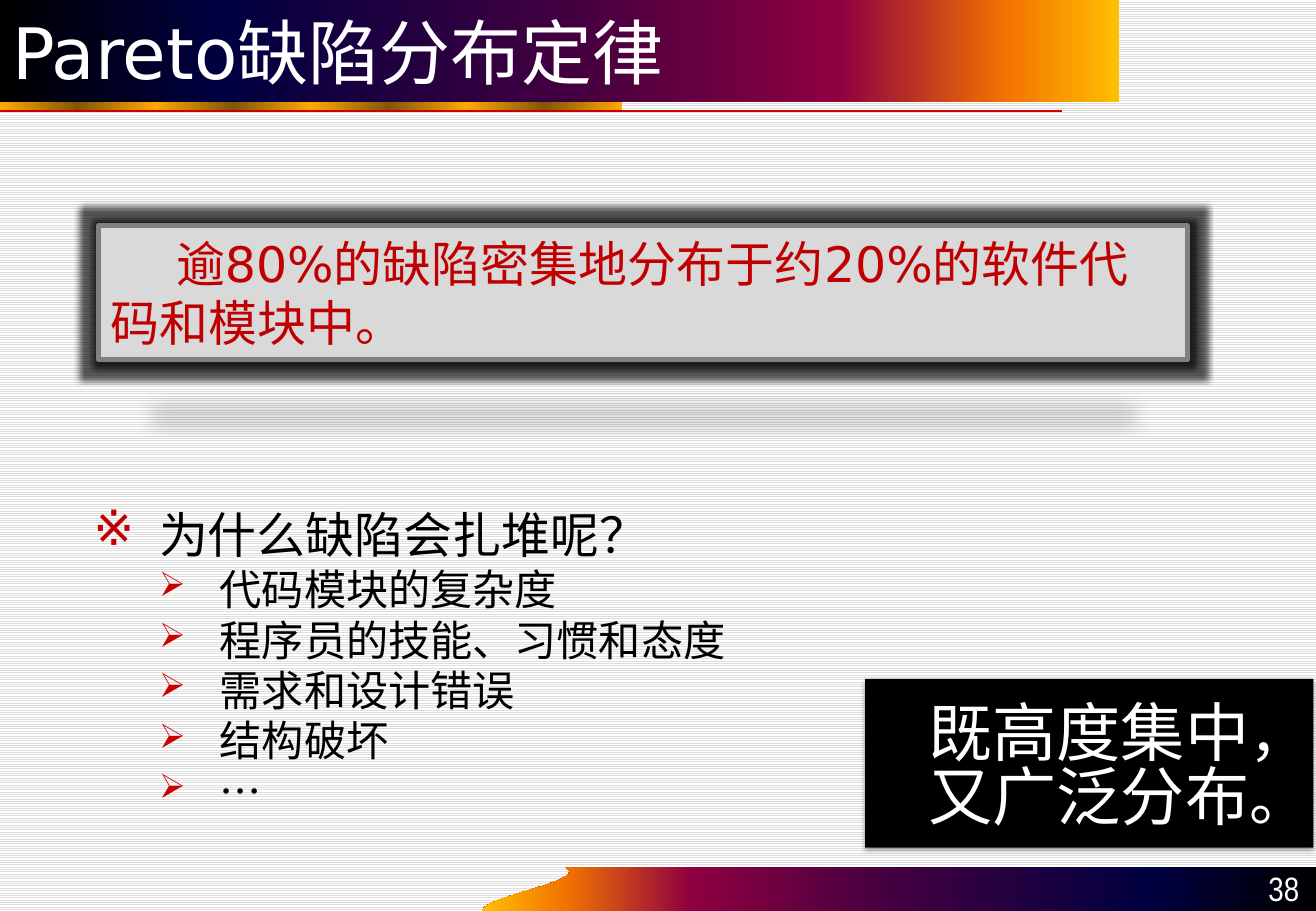
from dataclasses import dataclass

import lxml.etree
import pptx
import pptx.dml.color
import pptx.enum.dml
import pptx.enum.shapes
import pptx.enum.text
import pptx.oxml
import pptx.oxml.ns
import pptx.util

RGBColor = pptx.dml.color.RGBColor
Align = pptx.enum.text.PP_ALIGN
Anchor = pptx.enum.text.MSO_ANCHOR

BLACK = RGBColor(0x00, 0x00, 0x00)
WHITE = RGBColor(0xFF, 0xFF, 0xFF)
STRIPE = RGBColor(0xDD, 0xDD, 0xDD)
NAVY = RGBColor(0x00, 0x00, 0x40)
PLUM = RGBColor(0x40, 0x00, 0x40)
WINE = RGBColor(0x8F, 0x00, 0x40)
ORANGE = RGBColor(0xF2, 0x73, 0x00)
YELLOW = RGBColor(0xFF, 0xBF, 0x00)
BROWN = RGBColor(0x82, 0x56, 0x00)
GOLD = RGBColor(0xFF, 0xA8, 0x00)
RED = RGBColor(0xCC, 0x00, 0x00)
DARK_RED = RGBColor(0xC0, 0x00, 0x00)
PANEL = RGBColor(0xD9, 0xD9, 0xD9)
FRAME_GREY = RGBColor(0x80, 0x80, 0x80)

SUNSET = [(0, BLACK), (20, NAVY), (50, PLUM), (75, WINE), (90, ORANGE), (100, YELLOW)]
GOLD_WAVES = [(step * 12.5, BROWN if step % 2 else GOLD) for step in range(9)]
SANS, CHINESE, JAPANESE, NARROW = (
    "DejaVu Sans", "Noto Sans CJK SC", "Noto Sans CJK JP", "Arial Narrow")
TIGHT = 0.83  # line spacing for the tall CJK fonts

deck = pptx.Presentation()
deck.slide_width = pptx.util.Inches(10.83)
deck.slide_height = pptx.util.Inches(7.5)
page = deck.slides.add_slide(deck.slide_layouts[5])


def across(percent: float) -> int:
    return round(deck.slide_width * percent / 100)


def down(percent: float) -> int:
    return round(deck.slide_height * percent / 100)


@dataclass
class Area:
    """A rectangle in percent of the slide's width and height."""
    left: float
    top: float
    width: float
    height: float

    def lengths(self) -> tuple[int, int, int, int]:
        return across(self.left), down(self.top), across(self.width), down(self.height)


@dataclass
class Style:
    size: float
    font: str
    color: RGBColor


@dataclass
class Bullet:
    text: str
    style: Style
    sign: str
    sign_color: RGBColor
    sign_percent: int
    indent: float
    hanging: float
    space_before: float


def add_xml(parent, markup: str) -> None:
    declared = markup.replace(">", f" {pptx.oxml.ns.nsdecls('a')}>", 1)
    parent.append(pptx.oxml.parse_xml(declared))


def fill_gradient(shape, stops: list[tuple[float, RGBColor]], angle: int = 0) -> None:
    shape.fill.gradient()
    shape.fill.gradient_angle = angle
    stop_list = shape.fill._fill._gradFill.find(pptx.oxml.ns.qn("a:gsLst"))
    for stop in list(stop_list):
        stop_list.remove(stop)
    for position, color in stops:
        add_xml(stop_list, f'<a:gs pos="{round(position * 1000)}">'
                           f'<a:srgbClr val="{color}"/></a:gs>')


def add_effects(shape, effects: str) -> None:
    shape.shadow.inherit = True
    add_xml(shape._element.spPr, f"<a:effectLst>{effects}</a:effectLst>")


def shadow(alpha: int, blur: float, distance: float, scale: str = "") -> str:
    return (f'<a:outerShdw blurRad="{pptx.util.Pt(blur)}" dist="{pptx.util.Pt(distance)}" '
            f'dir="5400000" {scale} rotWithShape="0"><a:srgbClr val="000000">'
            f'<a:alpha val="{alpha * 1000}"/></a:srgbClr></a:outerShdw>')


def format_span(span, style: Style) -> None:
    span.font.size = pptx.util.Pt(style.size)
    span.font.name = style.font
    span.font.color.rgb = style.color
    add_xml(span._r.get_or_add_rPr(), f'<a:ea typeface="{style.font}"></a:ea>')


def write(para, text: str, style: Style, align=Align.LEFT) -> None:
    para.text = text
    para.alignment = align
    for span in para.runs:
        format_span(span, style)


def add_panel(area: Area, color: RGBColor):
    box = page.shapes.add_shape(pptx.enum.shapes.MSO_SHAPE.RECTANGLE, *area.lengths())
    box.shadow.inherit = False
    box.fill.solid()
    box.fill.fore_color.rgb = color
    box.line.fill.background()
    box.text_frame.word_wrap = True
    box.text_frame.vertical_anchor = Anchor.MIDDLE
    return box


def add_text_box(area: Area):
    box = page.shapes.add_textbox(*area.lengths())
    box.text_frame.word_wrap = True
    return box


def add_bullet(para, item: Bullet) -> None:
    properties = para._p.get_or_add_pPr()
    properties.set("marL", str(pptx.util.Inches(item.indent)))
    properties.set("indent", str(-pptx.util.Inches(item.hanging)))
    add_xml(properties, f'<a:buClr><a:srgbClr val="{item.sign_color}"/></a:buClr>')
    add_xml(properties, f'<a:buSzPct val="{item.sign_percent * 1000}"></a:buSzPct>')
    add_xml(properties, f'<a:buChar char="{item.sign}"></a:buChar>')
    para.line_spacing = TIGHT
    para.space_before = pptx.util.Pt(item.space_before)
    write(para, item.text, item.style)


# Striped background
background = page.background.fill
background.patterned()
background.pattern = pptx.enum.dml.MSO_PATTERN.LIGHT_HORIZONTAL
background.fore_color.rgb = STRIPE
background.back_color.rgb = WHITE

# Title bar
title = page.shapes.title
title.left, title.top, title.width, title.height = Area(0, 0, 85.04, 11.2).lengths()
fill_gradient(title, SUNSET)
title.text_frame.vertical_anchor = Anchor.MIDDLE
write(title.text_frame.paragraphs[0], "Pareto缺陷分布定律", Style(42, SANS, WHITE))

# Gold strip and red rule under the title
fill_gradient(add_panel(Area(0, 11.2, 47.28, 1.07), GOLD), GOLD_WAVES)
rule = page.shapes.add_connector(
    pptx.enum.shapes.MSO_CONNECTOR.STRAIGHT, 0, down(12.2), across(80.7), down(12.2))
rule.line.color.rgb = RED
rule.line.width = pptx.util.Pt(1)
add_xml(rule._element.spPr, "<a:effectLst></a:effectLst>")

# Footer band with a curved left end
curve = [(36.66, 100), (36.66, 98.4), (44.97, 96.67), (42.94, 95.2)]
band_points = [(100, 95.2), (100, 100)]
for step in range(25):
    t = step / 24
    weights = ((1 - t) ** 3, 3 * t * (1 - t) ** 2, 3 * t ** 2 * (1 - t), t ** 3)
    band_points.append(tuple(
        sum(weight * point[axis] for weight, point in zip(weights, curve)) for axis in (0, 1)))
corners = [(across(x), down(y)) for x, y in band_points]
builder = page.shapes.build_freeform(*corners[0])
builder.add_line_segments(corners[1:], close=True)
footer = builder.convert_to_shape()
footer.shadow.inherit = False
footer.line.fill.background()
fill_gradient(footer, SUNSET, 180)

# Page number
number = add_text_box(Area(90.77, 95.07, 8.86, 4.93)).text_frame
number.vertical_anchor = Anchor.BOTTOM
number.margin_bottom = pptx.util.Inches(0.02)
write(number.paragraphs[0], "38", Style(20, NARROW, WHITE), Align.RIGHT)

# Statement of the law
law = add_panel(Area(7.48, 24.8, 82.73, 14.67), PANEL)
law.line.color.rgb = FRAME_GREY
law.line.width = pptx.util.Pt(3)
add_effects(law, f'<a:glow rad="{pptx.util.Pt(7)}"><a:srgbClr val="000000">'
                 '<a:alpha val="65000"/></a:srgbClr></a:glow>'
            + shadow(15, 12, 25, 'sx="90000" sy="-19000"'))
law_para = law.text_frame.paragraphs[0]
write(law_para, "逾80%的缺陷密集地分布于约20%的软件代码和模块中。", Style(29, SANS, DARK_RED))
law_para._p.get_or_add_pPr().set("indent", str(pptx.util.Inches(0.54)))

# Question and its causes
question = Bullet("为什么缺陷会扎堆呢？", Style(29, CHINESE, BLACK), "※", DARK_RED, 100, 0.54, 0.54, 0)
causes = [
    Bullet(text, Style(25, CHINESE, BLACK), "➢", RED, 80, 1.04, 0.5, 5)
    for text in ("代码模块的复杂度", "程序员的技能、习惯和态度", "需求和设计错误", "结构破坏", "…")
]
body = add_text_box(Area(6.19, 55.87, 56.42, 40.27)).text_frame
for index, item in enumerate([question, *causes]):
    add_bullet(body.add_paragraph() if index else body.paragraphs[0], item)

# Conclusion
conclusion = add_panel(Area(65.74, 74.53, 34.07, 18.53), BLACK)
add_effects(conclusion, shadow(35, 3.1, 1.8))
frame = conclusion.text_frame
frame.margin_left = frame.margin_right = pptx.util.Inches(0.04)
frame.margin_top, frame.margin_bottom = pptx.util.Inches(0.12), pptx.util.Inches(0.02)
for index, (phrase, mark) in enumerate([("既高度集中", "，"), ("又广泛分布", "。")]):
    para = frame.add_paragraph() if index else frame.paragraphs[0]
    para.line_spacing = TIGHT
    write(para, phrase, Style(38, JAPANESE, WHITE), Align.RIGHT)
    span = para.add_run()
    span.text = mark
    format_span(span, Style(35, JAPANESE, WHITE))

deck.save("out.pptx")
